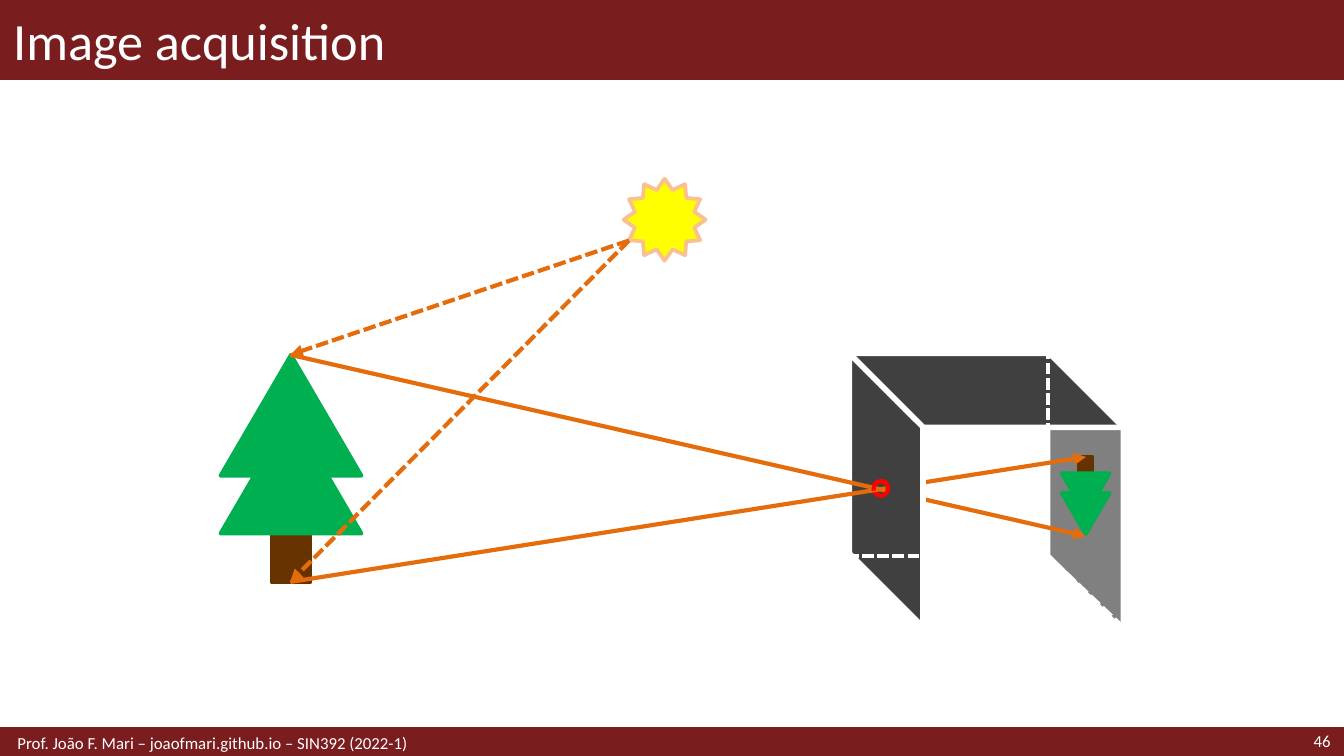
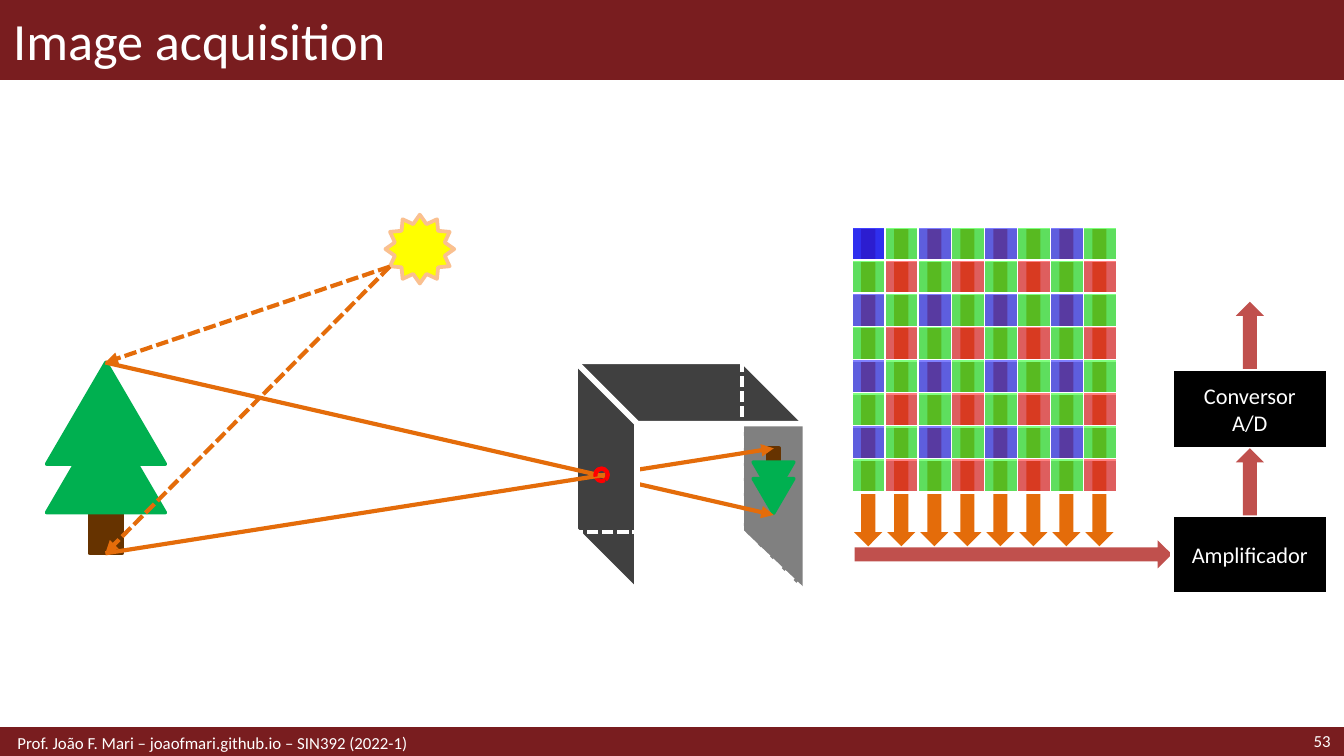
import dataclasses

import pptx
import pptx.dml.color
import pptx.enum.dml
import pptx.enum.shapes
import pptx.enum.text
import pptx.oxml.ns
import pptx.util
from lxml import etree

Inches = pptx.util.Inches
SHAPE = pptx.enum.shapes.MSO_SHAPE
ALIGN = pptx.enum.text.PP_ALIGN
qn = pptx.oxml.ns.qn

FONT = "Calibri"
FOOTER = "Prof. João F. Mari – joaofmari.github.io – SIN392 (2022-1)"
COLORS = {
    "band": "791D1F",
    "white": "FFFFFF",
    "black": "000000",
    "wall": "404040",
    "screen": "808080",
    "trunk": "663300",
    "leaves": "00B050",
    "pinhole": "FF0000",
    "sun": "FFFF00",
    "sun edge": "FAC090",
    "ray": "E46C0A",
    "signal": "C0504D",
    "sensor": "7F7F7F",
    "red": "FF0000",
    "green": "00FF00",
    "blue": "0000FF",
}


@dataclasses.dataclass
class View:
    """Scales and shifts the pinhole scene on a slide."""
    slide: object
    scale: float = 1
    dx: float = 0
    dy: float = 0

    def point(self, x, y):
        return self.dx + x * self.scale, self.dy + y * self.scale

    def box(self, x, y, width, height):
        return *self.point(x, y), width * self.scale, height * self.scale


def rgb(name):
    return pptx.dml.color.RGBColor.from_string(COLORS[name])


def style_line(line, color, width, dashed=False):
    line.color.rgb = rgb(color)
    line.width = pptx.util.Pt(width)
    if dashed:
        line.dash_style = pptx.enum.dml.MSO_LINE.SQUARE_DOT


def add_shape(slide, kind, box, fill=None, edge=None, width=2, dashed=False,
              rotation=0, flip="", adjust=()):
    shape = slide.shapes.add_shape(kind, *map(Inches, box))
    shape.shadow.inherit = False
    shape.rotation = rotation
    for index, value in enumerate(adjust):
        shape.adjustments[index] = value
    if fill:
        shape.fill.solid()
        shape.fill.fore_color.rgb = rgb(fill)
    else:
        shape.fill.background()
    if edge:
        style_line(shape.line, edge, width, dashed)
    else:
        shape.line.fill.background()
    for axis in flip:
        shape._element.spPr.find(qn("a:xfrm")).set("flip" + axis, "1")
    return shape


def add_line(slide, start, end, color, width=2.25, dashed=False, arrow=False):
    line = slide.shapes.add_connector(
        pptx.enum.shapes.MSO_CONNECTOR.STRAIGHT, *map(Inches, (*start, *end)))
    style_line(line.line, color, width, dashed)
    if arrow:
        etree.SubElement(line.line._get_or_add_ln(), qn("a:tailEnd"), type="triangle")
    etree.SubElement(line._element.spPr, qn("a:effectLst"))


def write(shape, text, size, align=ALIGN.LEFT):
    frame = shape.text_frame
    frame.word_wrap = True
    frame.vertical_anchor = pptx.enum.text.MSO_ANCHOR.MIDDLE
    frame.text = text
    paragraph = frame.paragraphs[0]
    paragraph.alignment = align
    paragraph.font.name = FONT
    paragraph.font.size = pptx.util.Pt(size)
    paragraph.font.color.rgb = rgb("white")
    return frame


def add_text(slide, box, text, size, align=ALIGN.LEFT):
    return write(slide.shapes.add_textbox(*map(Inches, box)), text, size, align)


def add_slide(deck, title, number):
    slide = deck.slides.add_slide(deck.slide_layouts[6])
    add_shape(slide, SHAPE.RECTANGLE, (0, 0, 10, 0.59), "band", "band", 1)
    add_shape(slide, SHAPE.RECTANGLE, (0, 5.42, 10, 0.21), "band", "band")
    add_text(slide, (0, 0, 10, 0.59), title, 28)
    add_text(slide, (8.86, 5.41, 1.14, 0.21), str(number), 9, ALIGN.RIGHT)
    footer = add_text(slide, (0, 5.42, 6.89, 0.21), FOOTER, 9)
    footer.margin_left = Inches(0.13)
    return slide


# Pinhole camera scene

def add_tree(view, left, top, size=1.0, inverted=False):
    full_height = 1.69
    parts = (
        (SHAPE.RECTANGLE, "trunk", 0.38, 1.19, 0.29, 0.5),
        (SHAPE.ISOSCELES_TRIANGLE, "leaves", 0, 0, 1.05, 0.9),
        (SHAPE.ISOSCELES_TRIANGLE, "leaves", 0, 0.43, 1.05, 0.9),
    )
    for kind, color, x, y, width, height in parts:
        if inverted:
            y = full_height - y - height
        box = view.box(left + x * size, top + y * size, width * size, height * size)
        add_shape(view.slide, kind, box, color, color, flip="HV" if inverted else "")


def add_camera_faces(view):
    for x, y, color, rotation, flip in (
            (7.07, 3.38, "screen", 90, ""),
            (5.57, 3.38, "wall", 90, ""),
            (6.31, 2.63, "wall", 0, "H")):
        add_shape(view.slide, SHAPE.PARALLELOGRAM, view.box(x, y, 2.04, 0.55), color,
                  rotation=rotation, flip=flip, adjust=(1.0,))


def add_camera_edges(view):
    add_shape(view.slide, SHAPE.RECTANGLE, view.box(6.32, 2.63, 1.48, 1.51),
              edge="white", dashed=True)
    add_line(view.slide, view.point(8.36, 4.67), view.point(7.8, 4.14), "white", dashed=True)


def add_scene(view):
    slide = view.slide
    pinhole = view.box(6.5, 3.58, 0.11, 0.11)
    sun, treetop, foot = view.point(4.68, 1.79), view.point(2.16, 2.64), view.point(2.16, 4.33)

    add_camera_faces(view)
    add_tree(view, 7.9, 3.4, 0.34, inverted=True)
    add_camera_edges(view)
    add_tree(view, 1.64, 2.64)
    add_shape(slide, SHAPE.CUBE, view.box(6.32, 2.63, 2.04, 2.04),
              edge="white", width=3, flip="H", adjust=(0.27,))
    add_shape(slide, SHAPE.OVAL, pinhole, edge="pinhole", width=2.25)
    add_shape(slide, SHAPE.STAR_12_POINT, view.box(4.64, 1.33, 0.61, 0.61), "sun", "sun edge")

    # Sunlight reaches the tree, which reflects it through the pinhole
    for target in (treetop, foot):
        add_line(slide, sun, target, "ray", dashed=True, arrow=True)
    add_line(slide, treetop, view.point(8.08, 3.99), "ray", arrow=True)
    add_line(slide, foot, view.point(8.08, 3.4), "ray", arrow=True)

    # The front wall covers the rays just behind the pinhole
    add_shape(slide, SHAPE.RECTANGLE, view.box(6.59, 3.24, 0.27, 0.84), "wall")
    add_line(slide, view.point(6.87, 3.18), view.point(6.87, 4.67), "white", 3)
    degree = 0.6  # arc adjustments per degree
    add_shape(slide, SHAPE.ARC, pinhole, edge="pinhole", width=2.25,
              adjust=(162.74 * degree, 52.87 * degree))


# Sensor and read-out

def style_cell(cell, color, opacity):
    cell.margin_left = cell.margin_right = cell.margin_top = cell.margin_bottom = 0
    cell.fill.solid()
    cell.fill.fore_color.rgb = rgb(color)
    properties = cell._tc.get_or_add_tcPr()
    tint = properties.find(qn("a:solidFill")).find(qn("a:srgbClr"))
    etree.SubElement(tint, qn("a:alpha"), val=str(opacity * 1000))
    for index, side in enumerate(("lnL", "lnR", "lnT", "lnB")):
        border = etree.Element(qn("a:" + side), w=str(pptx.util.Pt(1)))
        fill = etree.SubElement(border, qn("a:solidFill"))
        etree.SubElement(fill, qn("a:srgbClr"), val=COLORS["white"])
        properties.insert(index, border)
    # A small empty line keeps the row height
    etree.SubElement(cell.text_frame.paragraphs[0]._p, qn("a:endParaRPr"), sz="600")


def add_pixel_grid(slide, top, pixel):
    """pixel(row, column) gives the colour and opacity of a cell."""
    count, side = 8, 1.97
    table = slide.shapes.add_table(
        count, count, *map(Inches, (6.34, top, side, side))).table
    table.first_row = table.horz_banding = False
    for index in range(count):
        table.columns[index].width = table.rows[index].height = Inches(side / count)
        for column in range(count):
            style_cell(table.cell(index, column), *pixel(index, column))


def sensor_pixel(row, column):
    return "sensor", 50


def bayer_pixel(row, column):
    if (row + column) % 2:
        color = "green"
    else:
        color = "red" if row % 2 else "blue"
    return color, 50 if row or column else 75


def add_arrow(slide, left, top, length, color, rotation=0):
    add_shape(slide, SHAPE.RIGHT_ARROW, (left, top, length, 0.21), color, rotation=rotation)


def add_readout(slide):
    for column in range(8):
        add_arrow(slide, 5.28 + column * 1.72 / 7, 2.78, 2.36, "ray", 90)
    add_pixel_grid(slide, 1.7, sensor_pixel)
    add_arrow(slide, 6.36, 4.02, 2.36, "signal")
    for stage, top in (("Amplificador", 3.83), ("Conversor A/D", 2.75)):
        block = add_shape(slide, SHAPE.RECTANGLE, (8.72, top, 1.16, 0.59), "black", "white")
        write(block, stage, 12, ALIGN.CENTER)
    for top in (2.39, 3.48):
        add_arrow(slide, 9.05, top, 0.5, "signal", 270)
    add_pixel_grid(slide, 1.69, bayer_pixel)


def main():
    deck = pptx.Presentation()
    deck.slide_width = Inches(10)
    deck.slide_height = Inches(10 * 9 / 16)

    # Slide 1: pinhole camera
    add_scene(View(add_slide(deck, "Image acquisition", 46)))

    # Slide 2: pinhole camera with digital sensor
    digital = add_slide(deck, "Image acquisition", 53)
    add_readout(digital)
    add_scene(View(digital, 0.84, -1.03, 0.48))

    deck.save("out.pptx")


if __name__ == "__main__":
    main()
